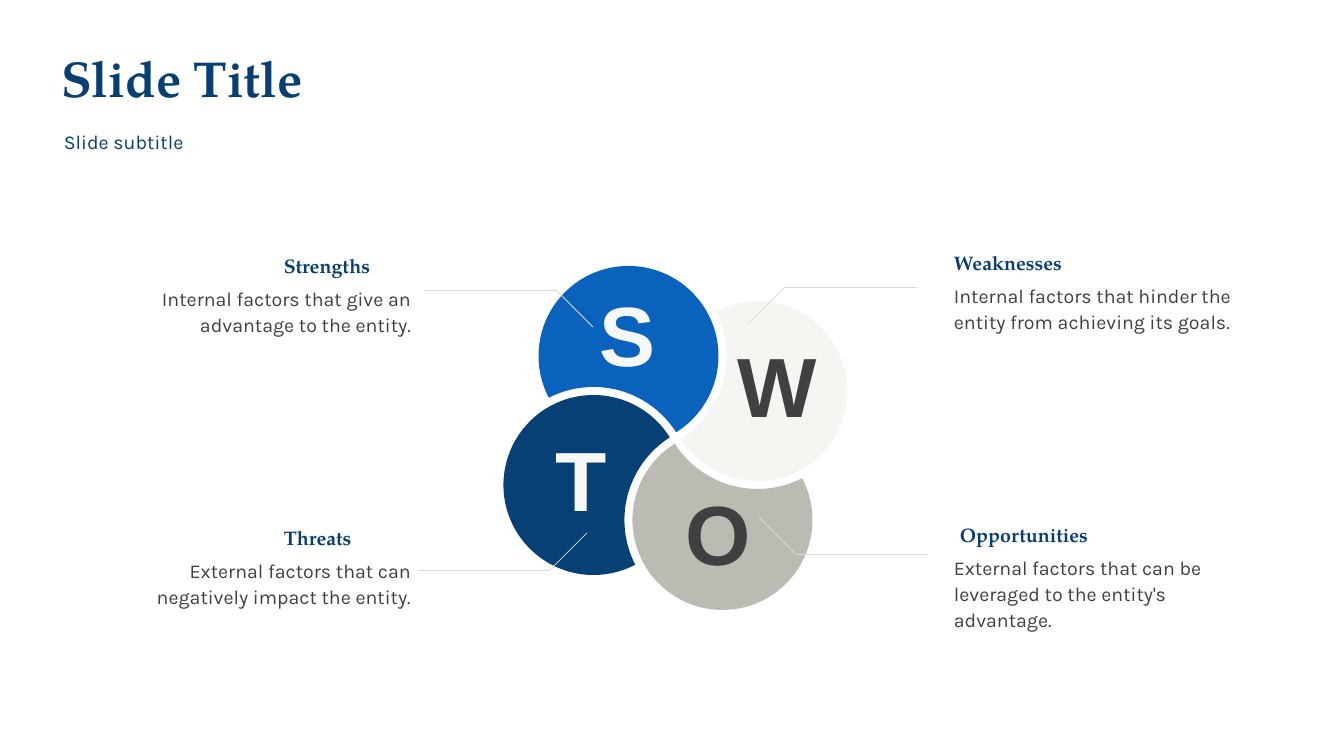
from math import acos, atan2, cos, hypot, pi, sin, tan

from lxml import etree
from pptx import Presentation
from pptx.dml.color import RGBColor
from pptx.enum.shapes import MSO_CONNECTOR
from pptx.enum.text import MSO_ANCHOR, PP_ALIGN
from pptx.oxml.ns import qn
from pptx.util import Pt

PX = 914400 / 100.8  # EMU in one px
LEFT, CENTER, RIGHT = PP_ALIGN.LEFT, PP_ALIGN.CENTER, PP_ALIGN.RIGHT
TOP, MIDDLE = MSO_ANCHOR.TOP, MSO_ANCHOR.MIDDLE
STRAIGHT = MSO_CONNECTOR.STRAIGHT

NAVY = RGBColor(0x07, 0x3F, 0x72)
DEEP_BLUE = RGBColor(0x07, 0x40, 0x74)
BLUE = RGBColor(0x09, 0x63, 0xBC)
IVORY = RGBColor(0xF6, 0xF5, 0xF2)
STONE = RGBColor(0xBB, 0xBA, 0xB3)
LIGHT = RGBColor(0xF6, 0xF8, 0xF8)
DARK = RGBColor(0x40, 0x40, 0x40)
RULE = RGBColor(0xD9, 0xD9, 0xD9)

SERIF, SANS, LETTER = "TeX Gyre Pagella", "Karla", "Arial"

# Petals clockwise: letter, fill, letter colour, letter position in the wheel
PETALS = [
    ("S", BLUE, LIGHT, (64, 12)),
    ("W", IVORY, DARK, (214, 63)),
    ("O", STONE, DARK, (155, 211)),
    ("T", DEEP_BLUE, LIGHT, (18, 157)),
]
RADIUS, CUT_RADIUS = 90, 98
OUTER_CURVES, INNER_CURVES = 5, 2

# Callouts: box, heading, heading indent, text, alignment,
# leader tip, leader direction across and down
CALLOUTS = [
    ((105, 249, 316, 112), "Strengths", 169,
     "Internal factors that give an advantage to the entity.",
     RIGHT, (593, 327), (-1, -1)),
    ((944, 246, 340, 112), "Weaknesses", 0,
     "Internal factors that hinder the entity from achieving its goals.",
     LEFT, (748, 324), (1, -1)),
    ((944, 518, 329, 112), "Opportunities", 6,
     "External factors that can be leveraged to the entity's advantage.",
     LEFT, (759, 517), (1, 1)),
    ((105, 521, 316, 112), "Threats", 169,
     "External factors that can negatively impact the entity.",
     RIGHT, (587, 533), (-1, 1)),
]


def emu(*lengths):
    return [round(length * PX) for length in lengths]


def write(shape, text, font, size, color, bold=False, align=LEFT,
          spacing=1.0, anchor=TOP):
    frame = shape.text_frame
    frame.word_wrap = True
    frame.vertical_anchor = anchor
    paragraph = frame.paragraphs[0]
    paragraph.text = text
    paragraph.alignment = align
    paragraph.line_spacing = spacing
    paragraph.font.name = font
    paragraph.font.size = Pt(size)
    paragraph.font.bold = bold
    paragraph.font.color.rgb = color
    return paragraph


def add_text(slide, box, *args, **kwargs):
    return write(slide.shapes.add_textbox(*emu(*box)), *args, **kwargs)


def add_header(slide, box):
    left, top, width, height = box
    title = slide.shapes.title
    title.left, title.top, title.width, title.height = emu(left, top, width, 62)
    write(title, "Slide Title", SERIF, 36, NAVY, bold=True, spacing=0.9,
          anchor=MIDDLE)
    subtitle = add_text(slide, (left + 3, top + 78, width, height - 78),
                        "Slide subtitle", SANS, 14, NAVY, spacing=0.9)
    subtitle.space_before = Pt(10)


def arc(center, radius, start, end, curves):
    """Return Bezier points of an arc: the start, then three for each curve."""
    step = (end - start) / curves
    handle = 4 / 3 * tan(step / 4)

    def at(angle, pull=0):
        return emu(center[0] + radius * (cos(angle) - pull * sin(angle)),
                   center[1] + radius * (sin(angle) + pull * cos(angle)))

    points = [at(start)]
    for i in range(curves):
        a, b = start + i * step, start + (i + 1) * step
        points += [at(a, handle), at(b, -handle), at(b)]
    return points


def bend(freeform):
    """Join each three line segments of a freeform into one Bezier curve."""
    lines = list(freeform._element.iter(qn("a:lnTo")))
    for i in range(0, len(lines), 3):
        curve = etree.Element(qn("a:cubicBezTo"))
        lines[i].addprevious(curve)
        for line in lines[i:i + 3]:
            curve.append(line[0])
            line.getparent().remove(line)


def add_petal(slide, center, neighbour, fill):
    """Draw a disc with a bite taken out around the neighbouring disc."""
    dx, dy = neighbour[0] - center[0], neighbour[1] - center[1]
    gap, toward = hypot(dx, dy), atan2(dy, dx)
    outer = acos((gap**2 + RADIUS**2 - CUT_RADIUS**2) / (2 * gap * RADIUS))
    inner = acos((gap**2 + CUT_RADIUS**2 - RADIUS**2) / (2 * gap * CUT_RADIUS))
    points = arc(center, RADIUS, toward + outer, toward + 2 * pi - outer,
                 OUTER_CURVES)
    points += arc(neighbour, CUT_RADIUS, toward + pi + inner,
                  toward + pi - inner, INNER_CURVES)[1:]
    builder = slide.shapes.build_freeform(*points[0])
    builder.add_line_segments(points[1:])
    petal = builder.convert_to_shape()
    bend(petal)
    petal.shadow.inherit = False
    petal.fill.solid()
    petal.fill.fore_color.rgb = fill
    petal.line.fill.background()


def add_wheel(slide, box):
    left, top, width, height = box
    middle_x, middle_y = left + width / 2, top + height / 2
    # Each disc centre is the previous one turned by 90 degrees
    dx, dy = -47, -82
    centers = []
    for _ in PETALS:
        centers.append((middle_x + dx, middle_y + dy))
        dx, dy = -dy, dx
    for i, (_, fill, _, _) in enumerate(PETALS):
        add_petal(slide, centers[i], centers[i - 1], fill)
    for letter, _, color, (x, y) in PETALS:
        add_text(slide, (left + x, top + y, 121, 112), letter, LETTER, 60,
                 color, bold=True, align=CENTER)


def add_leader(slide, tip, direction):
    (x, y), (across, down) = tip, direction
    elbow = (x + 37 * across, y + 37 * down)
    end = (elbow[0] + 132 * across, elbow[1])
    for start, stop in ((tip, elbow), (elbow, end)):
        leader = slide.shapes.add_connector(STRAIGHT, *emu(*start, *stop))
        leader.line.color.rgb = RULE
        leader.line.width = Pt(0.5)
        etree.SubElement(leader._element.spPr, qn("a:effectLst"))


def add_callout(slide, box, heading, indent, text, align):
    left, top, width, height = box
    add_text(slide, (left, top + 31, width, height - 31), text, SANS, 14, DARK,
             align=align, spacing=1.1)
    add_text(slide, (left + indent, top, width - indent, 34), heading, SERIF,
             14, NAVY, bold=True)


def main():
    prs = Presentation()
    prs.slide_width, prs.slide_height = emu(1344, 756)
    slide = prs.slides.add_slide(prs.slide_layouts[5])  # title only
    add_header(slide, (51, 50, 1252, 126))
    add_wheel(slide, (503, 266, 345, 344))
    for box, heading, indent, text, align, tip, direction in CALLOUTS:
        add_leader(slide, tip, direction)
        add_callout(slide, box, heading, indent, text, align)
    prs.save("out.pptx")


if __name__ == "__main__":
    main()
